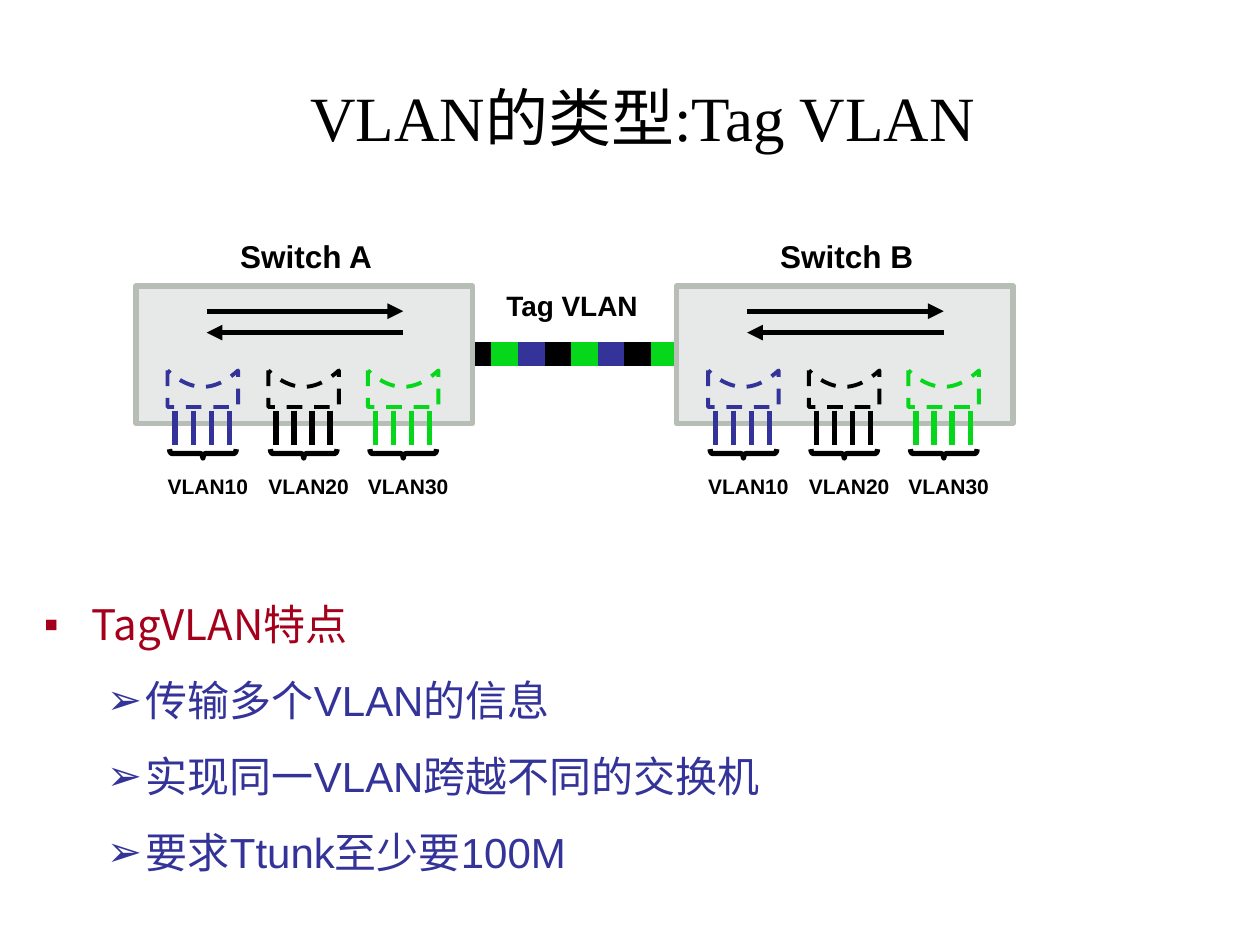
from itertools import cycle

from lxml.etree import SubElement
from pptx import Presentation
from pptx.dml.color import RGBColor
from pptx.enum.dml import MSO_LINE_DASH_STYLE as Dash
from pptx.enum.shapes import MSO_CONNECTOR_TYPE as Connector, MSO_SHAPE as Shape
from pptx.enum.text import MSO_ANCHOR as Anchor, PP_ALIGN as Align
from pptx.oxml.ns import qn
from pptx.util import Inches, Pt

COLORS = {
    "black": "000000", "blue": "333399", "green": "07D71B", "red": "A4001B",
    "panel": "E7E9E8", "border": "B7BEB6",
}

# Offsets from the left side of a switch: port group, caption centre
VLANS = [
    ("VLAN10", "blue", 0.25, 0.57),
    ("VLAN20", "black", 1.05, 1.37),
    ("VLAN30", "green", 1.84, 2.16),
]
POINTS = [
    ("TagVLAN特点", "Noto Sans CJK SC", "red", "▪", 0.38, 0.38, 1.5),
    ("传输多个VLAN的信息", "Arial", "blue", "➢", 0.81, 0.31, 1.3),
    ("实现同一VLAN跨越不同的交换机", "Arial", "blue", "➢", 0.81, 0.31, 1.3),
    ("要求Ttunk至少要100M", "Arial", "blue", "➢", 0.81, 0.31, 1.3),
]


def color(name):
    return RGBColor.from_string(COLORS[name])


def set_line(shape, name, width):
    shape.line.color.rgb = color(name)
    shape.line.width = Pt(width)


def add_line(slide, start, end, name, width, arrow=False):
    line = slide.shapes.add_connector(
        Connector.STRAIGHT, *(Inches(value) for value in (*start, *end)))
    set_line(line, name, width)
    if arrow:
        SubElement(line.line._get_or_add_ln(), qn("a:tailEnd"), type="triangle")
    SubElement(line._element.spPr, qn("a:effectLst"))


def add_run(paragraph, text, size, font, name, bold=False):
    run = paragraph.add_run()
    run.text = text
    run.font.size = Pt(size)
    run.font.name = font
    run.font.bold = bold
    run.font.color.rgb = color(name)


def add_box(slide, left, top, width, height, anchor=Anchor.MIDDLE, wrap=True):
    box = slide.shapes.add_textbox(
        Inches(left), Inches(top), Inches(width), Inches(height))
    frame = box.text_frame
    frame.word_wrap = wrap
    frame.vertical_anchor = anchor
    return frame


def add_label(slide, text, center, top, width, height, size):
    frame = add_box(slide, center - width / 2, top, width, height, wrap=False)
    paragraph = frame.paragraphs[0]
    paragraph.alignment = Align.CENTER
    add_run(paragraph, text, size, "Arial", "black", bold=True)


def add_port_cup(slide, left, name, top=2.94, width=0.56, height=0.29, dip=0.13):
    """Dashed outline whose top edge sags as a parabola."""
    steps = 20
    points = [(left, top + height), (left + width, top + height)]
    for step in range(steps + 1):
        across = 1 - step / steps
        sag = dip * (1 - (2 * across - 1) ** 2)
        points.append((left + width * across, top + sag))
    builder = slide.shapes.build_freeform(Inches(left), Inches(top))
    builder.add_line_segments([(Inches(x), Inches(y)) for x, y in points])
    cup = builder.convert_to_shape()
    cup.shadow.inherit = False
    cup.fill.background()
    set_line(cup, name, 2.25)
    cup.line.dash_style = Dash.DASH


def add_brace(slide, center_x, center_y=3.6, width=0.07, height=0.53):
    brace = slide.shapes.add_shape(
        Shape.RIGHT_BRACE, Inches(center_x - width / 2),
        Inches(center_y - height / 2), Inches(width), Inches(height))
    brace.rotation = 90
    brace.adjustments[0] = 0.3
    brace.shadow.inherit = False
    brace.fill.background()
    set_line(brace, "black", 3)


def add_vlan(slide, text, name, left, center):
    add_port_cup(slide, left, name)
    for pin in range(4):
        x = left + 0.06 + pin * 0.43 / 3
        add_line(slide, (x, 3.26), (x, 3.53), name, 3)
    add_brace(slide, center - 0.04)
    add_label(slide, text, center, 3.71, 0.9, 0.3, 12)


def add_switch(slide, title, left):
    add_label(slide, title, left + 1.35, 1.83, 1.4, 0.4, 18)
    panel = slide.shapes.add_shape(
        Shape.RECTANGLE, Inches(left), Inches(2.27), Inches(2.67), Inches(1.09))
    panel.shadow.inherit = False
    panel.fill.solid()
    panel.fill.fore_color.rgb = color("panel")
    set_line(panel, "border", 3)
    for text, name, group_left, center in VLANS:
        add_vlan(slide, text, name, left + group_left, left + center)
    # Traffic in both directions
    near, far = left + 0.56, left + 2.12
    add_line(slide, (near, 2.47), (far, 2.47), "black", 3, arrow=True)
    add_line(slide, (far, 2.64), (near, 2.64), "black", 3, arrow=True)


def add_trunk(slide, left=3.69, right=5.59, count=9):
    step = (right - left) / count
    for index, name in zip(range(count), cycle(["black", "green", "blue"])):
        x = left + index * step
        add_line(slide, (x, 2.81), (x + step, 2.81), name, 14)


def add_points(slide):
    frame = add_box(slide, 0.25, 4.5, 9, 2.58, Anchor.TOP)
    for index, point in enumerate(POINTS):
        text, font, name, bullet, margin, hanging, spacing = point
        paragraph = frame.add_paragraph() if index else frame.paragraphs[0]
        paragraph.line_spacing = spacing
        paragraph.space_before = Pt(6)
        properties = paragraph._p.get_or_add_pPr()
        properties.set("marL", str(Inches(margin)))
        properties.set("indent", str(-Inches(hanging)))
        bullet_color = SubElement(properties, qn("a:buClr"))
        SubElement(bullet_color, qn("a:srgbClr"), val=COLORS[name])
        SubElement(properties, qn("a:buFont"), typeface="Arial")
        SubElement(properties, qn("a:buChar"), char=bullet)
        add_run(paragraph, text, 24, font, name)


def main():
    presentation = Presentation()
    presentation.slide_width = Inches(10)
    presentation.slide_height = Inches(7.5)
    slide = presentation.slides.add_slide(presentation.slide_layouts[6])

    # Title
    title = add_box(slide, 1, 0.5, 8.2, 0.85).paragraphs[0]
    title.alignment = Align.CENTER
    add_run(title, "VLAN的类型:Tag VLAN", 36, "Times New Roman", "black")

    # Two switches joined by a tagged trunk
    add_trunk(slide)
    add_switch(slide, "Switch A", 1.08)
    add_switch(slide, "Switch B", 5.37)
    add_label(slide, "Tag VLAN", 4.54, 2.24, 1.4, 0.37, 16)

    # Features
    add_points(slide)
    presentation.save("out.pptx")


if __name__ == "__main__":
    main()
